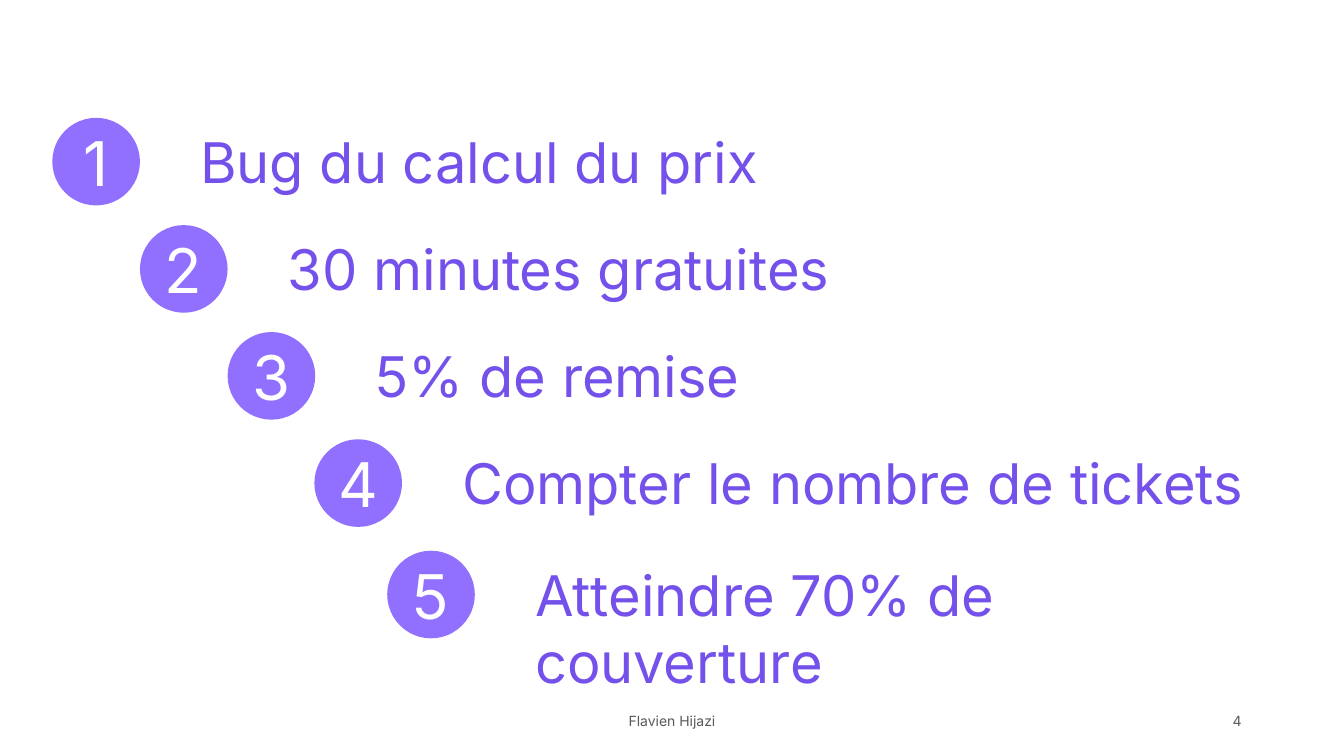
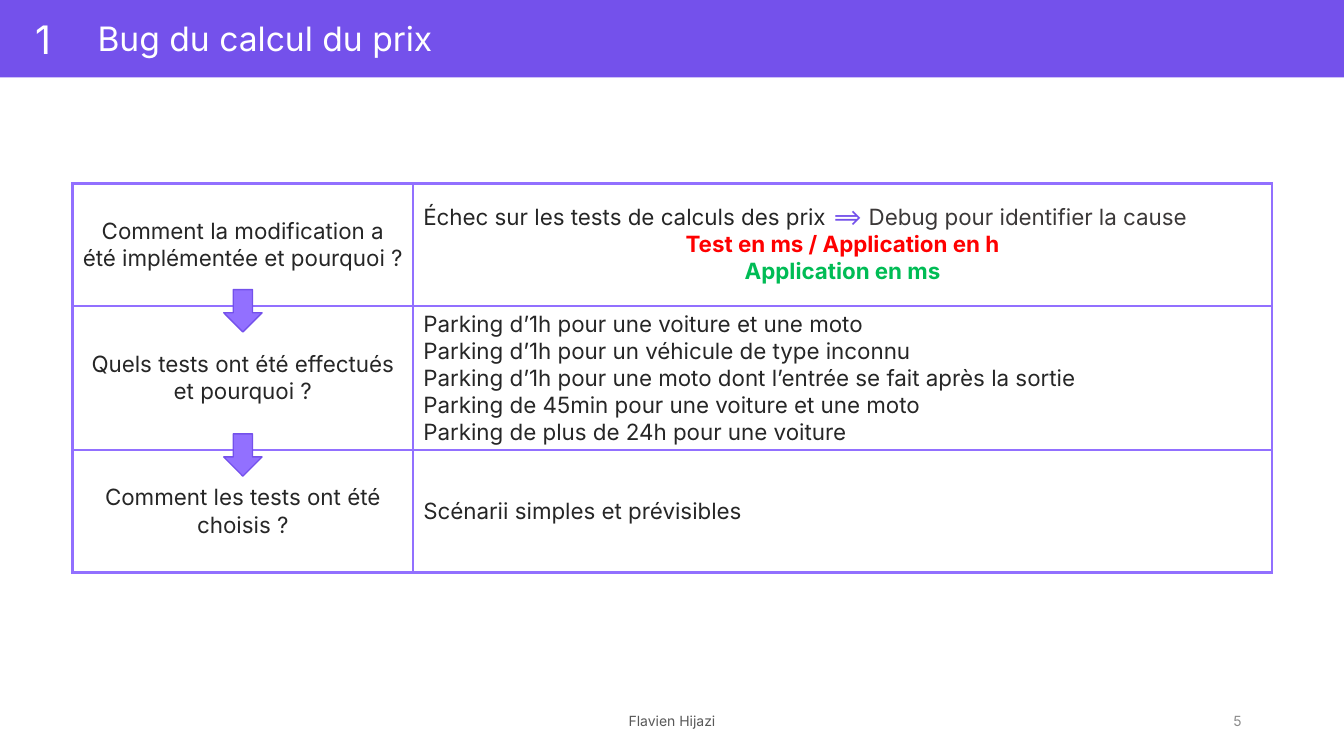
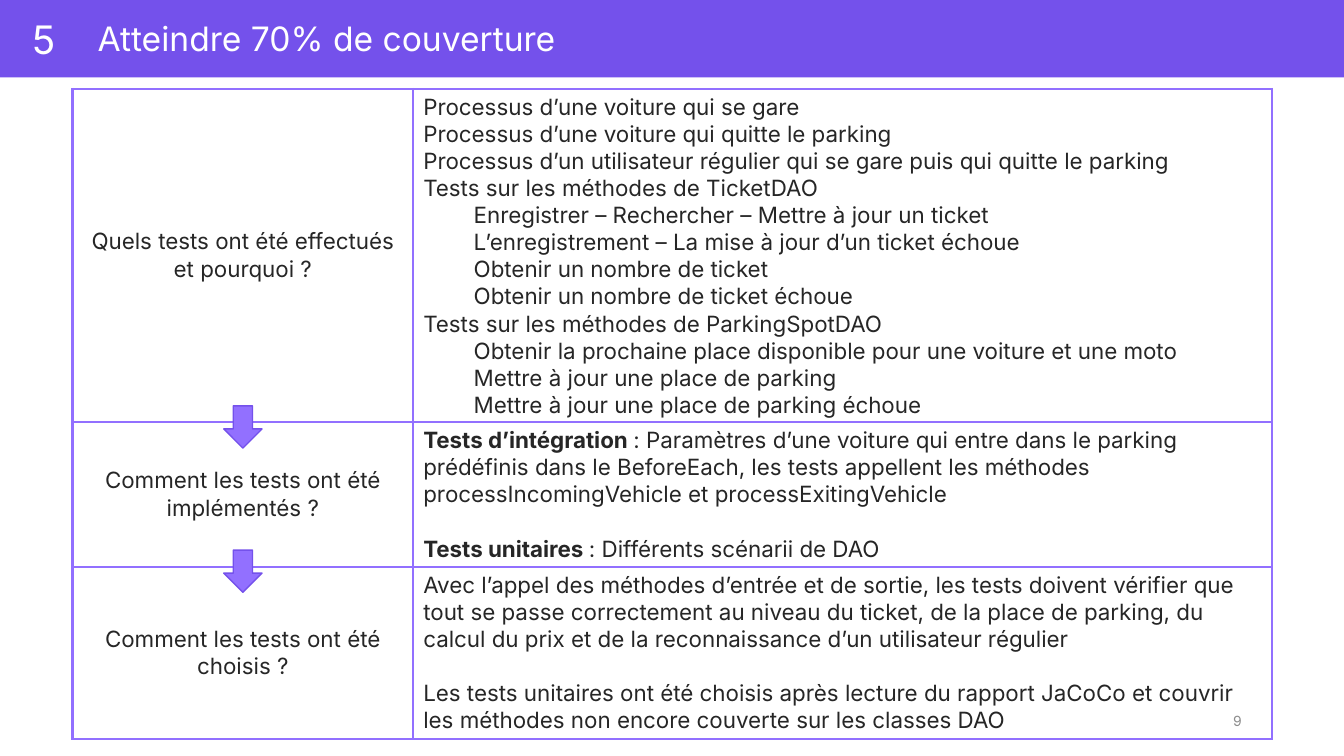
from dataclasses import dataclass

from lxml import etree
from pptx import Presentation
from pptx.dml.color import RGBColor
from pptx.enum.shapes import MSO_SHAPE
from pptx.enum.text import MSO_ANCHOR, PP_ALIGN
from pptx.oxml.ns import qn
from pptx.util import Pt

LEFT, CENTER, RIGHT = PP_ALIGN.LEFT, PP_ALIGN.CENTER, PP_ALIGN.RIGHT
TOP, MIDDLE = MSO_ANCHOR.TOP, MSO_ANCHOR.MIDDLE
RECT, OVAL, ARROW = MSO_SHAPE.RECTANGLE, MSO_SHAPE.OVAL, MSO_SHAPE.DOWN_ARROW

FONT = "Inter"
VIOLET, LILAC, WHITE = "7451EB", "9270FF", "FFFFFF"
INK, SOFT_INK, GRAY, PALE_GRAY = "262626", "3B3838", "595959", "8C8C8C"
RED, GREEN = "FE0000", "00BC55"

SLIDE_W, SLIDE_H = 960, 540
BAND_H = 55.4
DISC = 62.6
TABLE_X = 51.8
COLUMNS = (243.4, 613.4)
OUTER, INNER = 2.25, 1.5
LINE_GAP = 19.4
ARROW_W, ARROW_H, ARROW_DROP = 27.4, 30.2, 3.6

AGENDA = [
    ("Bug du calcul du prix", 37.4, 84.2),
    ("30 minutes gratuites", 100, 160.8),
    ("5% de remise", 162.6, 237.2),
    ("Compter le nombre de tickets", 224.6, 313.8),
    ("Atteindre 70% de couverture", 276.6, 393.4),
]


@dataclass
class Run:
    text: str
    color: str = INK
    bold: bool = False


@dataclass
class Para:
    runs: list
    align: int = LEFT
    indent: float = 0
    gap: float = 0


def lines(*texts, indent=0):
    return [Para([Run(text)], indent=indent) for text in texts]


def question(text):
    return [Para([Run(text)], CENTER)]


BUG_ROWS = [
    (87.4, question("Comment la modification a été implémentée et pourquoi ?"), [
        Para([Run("Échec sur les tests de calculs des prix "), Run("⟹ ", VIOLET),
              Run("Debug pour identifier la cause", SOFT_INK)]),
        Para([Run("Test en ms / Application en h", RED, True)], CENTER),
        Para([Run("Application en ms", GREEN, True)], CENTER),
    ]),
    (103, question("Quels tests ont été effectués et pourquoi ?"), lines(
        "Parking d’1h pour une voiture et une moto",
        "Parking d’1h pour un véhicule de type inconnu",
        "Parking d’1h pour une moto dont l’entrée se fait après la sortie",
        "Parking de 45min pour une voiture et une moto",
        "Parking de plus de 24h pour une voiture",
    )),
    (87.4, question("Comment les tests ont été choisis ?"),
     lines("Scénarii simples et prévisibles")),
]

COVERAGE_ROWS = [
    (238, question("Quels tests ont été effectués et pourquoi ?"), [
        *lines(
            "Processus d’une voiture qui se gare",
            "Processus d’une voiture qui quitte le parking",
            "Processus d’un utilisateur régulier qui se gare puis qui quitte le parking",
            "Tests sur les méthodes de TicketDAO",
        ),
        *lines(
            "Enregistrer – Rechercher – Mettre à jour un ticket",
            "L’enregistrement – La mise à jour d’un ticket échoue",
            "Obtenir un nombre de ticket",
            "Obtenir un nombre de ticket échoue",
            indent=36,
        ),
        *lines("Tests sur les méthodes de ParkingSpotDAO"),
        *lines(
            "Obtenir la prochaine place disponible pour une voiture et une moto",
            "Mettre à jour une place de parking",
            "Mettre à jour une place de parking échoue",
            indent=36,
        ),
    ]),
    (103, question("Comment les tests ont été implémentés ?"), [
        Para([Run("Tests d’intégration ", bold=True),
              Run(": Paramètres d’une voiture qui entre dans le parking prédéfinis dans "
                  "le BeforeEach, les tests appellent les méthodes "
                  "processIncomingVehicle et processExitingVehicle")]),
        Para([Run("Tests unitaires ", bold=True), Run(": Différents scénarii de DAO")],
             gap=LINE_GAP),
    ]),
    (123, question("Comment les tests ont été choisis ?"), [
        Para([Run("Avec l’appel des méthodes d’entrée et de sortie, les tests doivent "
                  "vérifier que tout se passe correctement au niveau du ticket, de la "
                  "place de parking, du calcul du prix et de la reconnaissance d’un "
                  "utilisateur régulier")]),
        Para([Run("Les tests unitaires ont été choisis après lecture du rapport JaCoCo "
                  "et couvrir les méthodes non encore couverte sur les classes DAO")],
             gap=LINE_GAP),
    ]),
]


def rgb(color):
    return RGBColor.from_string(color)


def style_run(r, size, color, bold=False):
    r.font.name = FONT
    r.font.size = Pt(size)
    r.font.color.rgb = rgb(color)
    r.font.bold = bold


def set_text(tf, text, size, color, align, anchor):
    tf.word_wrap = True
    tf.vertical_anchor = anchor
    tf.text = text
    p = tf.paragraphs[0]
    p.alignment = align
    style_run(p.runs[0], size, color)


def add_text(s, text, x, y, w, h, size, color, align=LEFT, anchor=TOP):
    sp = s.shapes.add_textbox(Pt(x), Pt(y), Pt(w), Pt(h))
    set_text(sp.text_frame, text, size, color, align, anchor)


def add_shape(s, kind, x, y, w, h, fill, line=None):
    sp = s.shapes.add_shape(kind, Pt(x), Pt(y), Pt(w), Pt(h))
    sp.shadow.inherit = False
    sp.fill.solid()
    sp.fill.fore_color.rgb = rgb(fill)
    if line:
        sp.line.color.rgb = rgb(line)
        sp.line.width = Pt(1)
    else:
        sp.line.fill.background()
    return sp


def add_disc(s, number, x, y):
    tf = add_shape(s, OVAL, x, y, DISC, DISC, LILAC).text_frame
    tf.margin_left = tf.margin_right = 0
    set_text(tf, number, 44, WHITE, CENTER, MIDDLE)


def add_author(s):
    add_text(s, "Flavien Hijazi", 318, 500.5, 324, 28.8, 10, GRAY, CENTER, MIDDLE)


def add_page_number(s, number, color=PALE_GRAY):
    add_text(s, number, 678, 500.5, 216, 28.8, 10, color, RIGHT, MIDDLE)


def add_title_band(s, number, title):
    add_shape(s, RECT, 0, 0, SLIDE_W, BAND_H, VIOLET)
    add_text(s, number, 0, 0, DISC, BAND_H, 28, WHITE, CENTER, MIDDLE)
    add_text(s, title, DISC, 9.5, 500, 36.4, 24, WHITE)


def set_borders(cell, widths):
    """Draw the left, right, top and bottom edges in the given widths."""
    tc_pr = cell._tc.get_or_add_tcPr()
    for tag, width in zip(("a:lnL", "a:lnR", "a:lnT", "a:lnB"), widths):
        ln = etree.SubElement(tc_pr, qn(tag), w=str(Pt(width)))
        fill = etree.SubElement(ln, qn("a:solidFill"))
        etree.SubElement(fill, qn("a:srgbClr"), val=LILAC)


def fill_cell(cell, paras):
    cell.fill.background()
    cell.vertical_anchor = MIDDLE
    tf = cell.text_frame
    for i, para in enumerate(paras):
        p = tf.add_paragraph() if i else tf.paragraphs[0]
        p.alignment = para.align
        if para.gap:
            p.space_before = Pt(para.gap)
        if para.indent:
            p._p.get_or_add_pPr().set("marL", str(Pt(para.indent)))
        for run in para.runs:
            r = p.add_run()
            r.text = run.text
            style_run(r, 16, run.color, run.bold)


def add_questions(s, rows, y, top_line=OUTER):
    """Add the table of questions and answers, with an arrow on each inner rule."""
    heights = [height for height, _, _ in rows]
    table = s.shapes.add_table(len(rows), len(COLUMNS), Pt(TABLE_X), Pt(y),
                               Pt(sum(COLUMNS)), Pt(sum(heights))).table
    table.first_row = table.horz_banding = False
    for column, width in zip(table.columns, COLUMNS):
        column.width = Pt(width)
    last = len(rows) - 1
    for i, (height, *contents) in enumerate(rows):
        table.rows[i].height = Pt(height)
        for j, paras in enumerate(contents):
            cell = table.cell(i, j)
            set_borders(cell, (INNER if j else OUTER, OUTER if j else INNER,
                               INNER if i else top_line,
                               OUTER if i == last else INNER))
            fill_cell(cell, paras)
    x = TABLE_X + (COLUMNS[0] - ARROW_W) / 2
    for i in range(1, len(rows)):
        rule_y = y + sum(heights[:i])
        add_shape(s, ARROW, x, rule_y + ARROW_DROP - ARROW_H / 2,
                  ARROW_W, ARROW_H, LILAC, VIOLET)


def build_agenda(s):
    add_author(s)
    add_page_number(s, "4", GRAY)
    for number, (text, x, y) in enumerate(AGENDA, 1):
        add_disc(s, str(number), x, y)
        text_x = x + 98.6
        add_text(s, text, text_x, y + 3.2, 922.4 - text_x, 55.4, 40, VIOLET)


def build_bug(s):
    add_title_band(s, "1", AGENDA[0][0])
    add_page_number(s, "5")
    add_author(s)
    add_questions(s, BUG_ROWS, 131)


def build_coverage(s):
    add_title_band(s, "5", AGENDA[4][0])
    add_page_number(s, "9")
    add_questions(s, COVERAGE_ROWS, 63.4, INNER)


def main():
    prs = Presentation()
    prs.slide_width, prs.slide_height = Pt(SLIDE_W), Pt(SLIDE_H)
    for build in (build_agenda, build_bug, build_coverage):
        build(prs.slides.add_slide(prs.slide_layouts[6]))
    prs.save("out.pptx")


if __name__ == "__main__":
    main()
